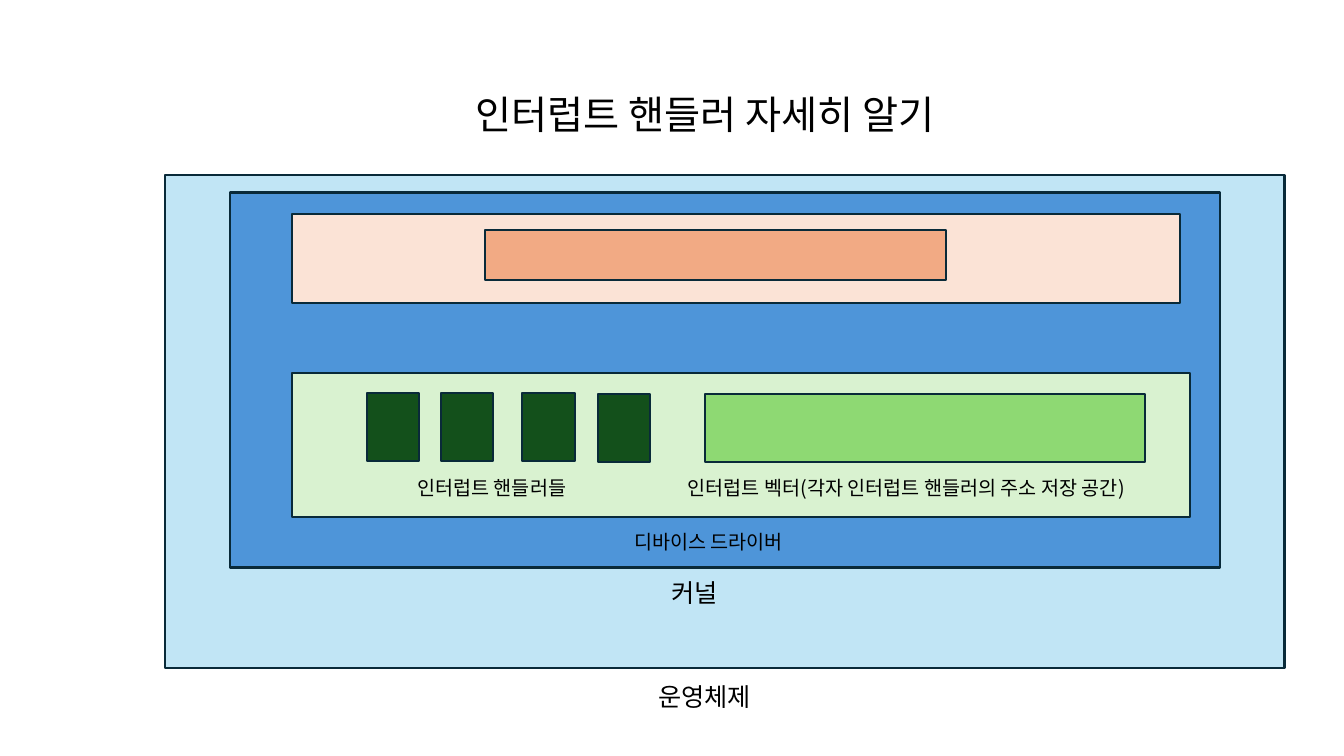
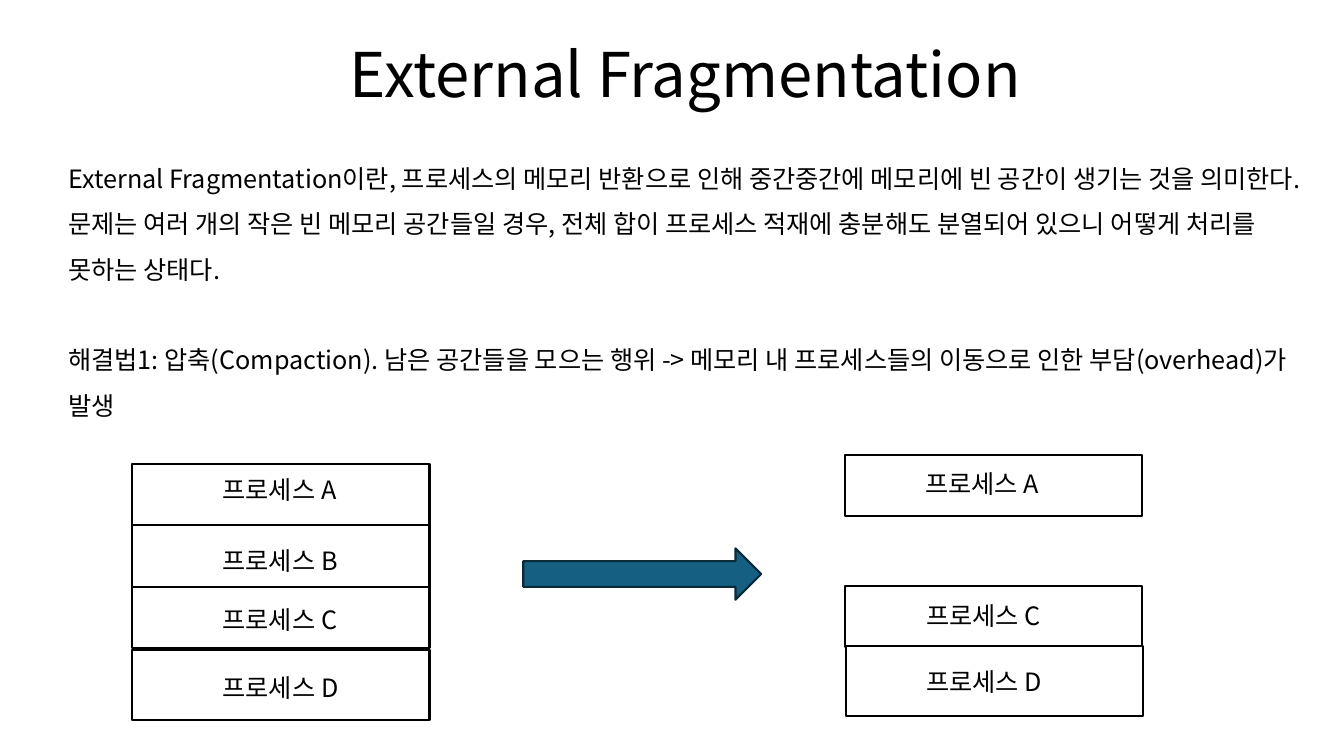
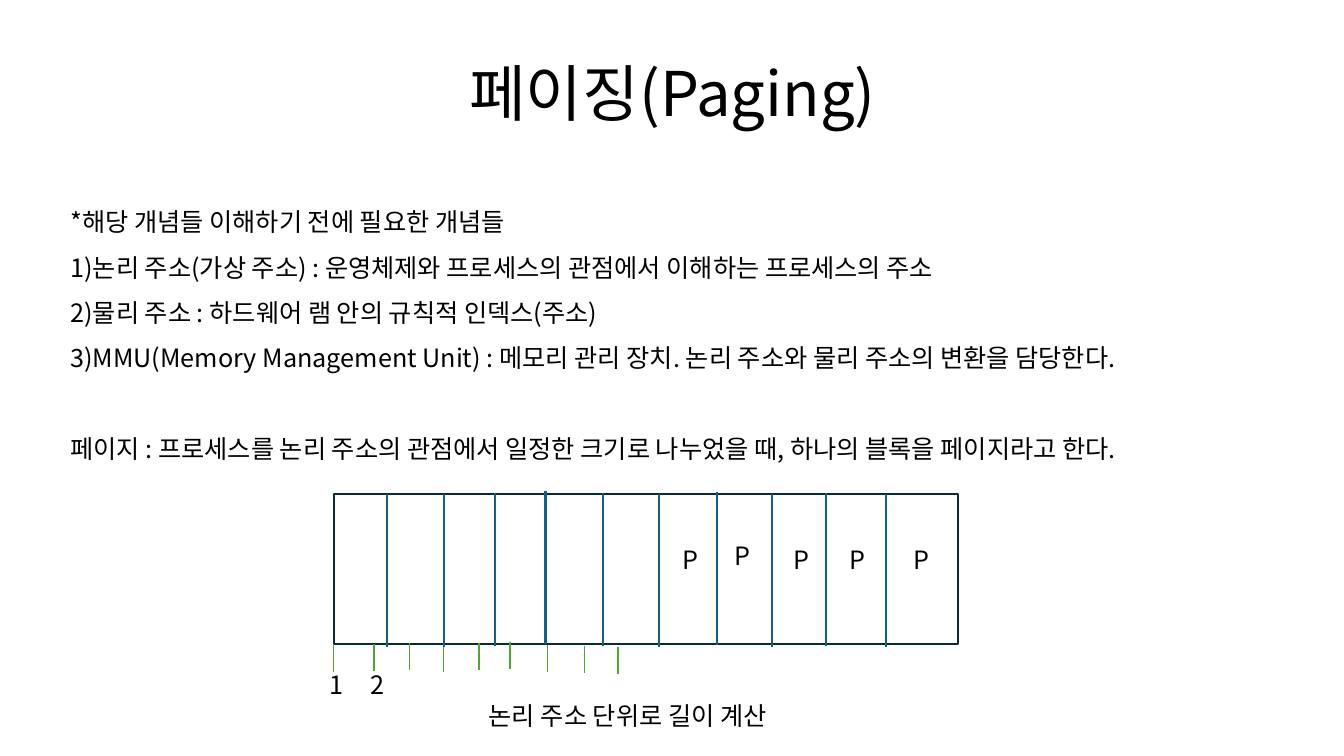
from dataclasses import dataclass

from lxml import etree
from pptx import Presentation, util as u
from pptx.dml.color import RGBColor
from pptx.enum import shapes, text
from pptx.oxml.ns import qn


@dataclass(frozen=True)
class Theme:
    font: str = "Noto Sans CJK KR"
    black: str = "000000"
    white: str = "FFFFFF"
    outline: str = "092A39"
    system: str = "C1E5F5"
    kernel: str = "4E95D9"
    driver: str = "D9F2D0"
    handler: str = "13501B"
    vector: str = "8ED973"
    upper: str = "FBE3D6"
    upper_core: str = "F2AA84"
    accent: str = "156082"
    tick: str = "4EA72E"
    title: int = 44
    subtitle: int = 28
    body: int = 18
    small: int = 14
    line_pitch: float = 1.2
    border: float = 1.5
    thin: float = 1


class Deck:
    def __init__(self, theme):
        self.theme = theme
        self.file = Presentation()
        self.file.slide_width = u.Inches(13.33)
        self.file.slide_height = u.Inches(7.5)
        self.slide = None

    def new_slide(self, heading, left, top, size):
        self.slide = self.file.slides.add_slide(self.file.slide_layouts[6])
        frame = self.label([heading], left, top, 11.5, 1.45, size)
        frame.vertical_anchor = text.MSO_ANCHOR.MIDDLE
        frame.paragraphs[0].alignment = text.PP_ALIGN.CENTER

    def label(self, lines, left, top, width, height=0.4, size=None, spacing=1.0):
        size = size or self.theme.body
        box = self.slide.shapes.add_textbox(*map(u.Inches, (left, top, width, height)))
        frame = box.text_frame
        frame.word_wrap = True
        for index, line in enumerate(lines):
            paragraph = frame.add_paragraph() if index else frame.paragraphs[0]
            paragraph.line_spacing = u.Pt(size * self.theme.line_pitch * spacing)
            run = paragraph.add_run()
            run.text = line
            run.font.size = u.Pt(size)
            run.font.name = self.theme.font
            run.font.color.rgb = RGBColor.from_string(self.theme.black)
            east_asian = etree.Element(qn("a:ea"), typeface=self.theme.font)
            run.font._element.find(qn("a:latin")).addnext(east_asian)
        return frame

    def body(self, lines, left, top, width):
        """Write open-spaced text whose last paragraph stands one line apart."""
        spacing = 1.5
        frame = self.label(lines, left, top, width, 2.77, spacing=spacing)
        gap = self.theme.body * self.theme.line_pitch * spacing
        frame.paragraphs[-1].space_before = u.Pt(gap)

    def block(self, left, top, width, height, fill, outline=None,
              kind=shapes.MSO_SHAPE.RECTANGLE):
        shape = self.slide.shapes.add_shape(
            kind, *map(u.Inches, (left, top, width, height)))
        shape.shadow.inherit = False
        shape.fill.solid()
        shape.fill.fore_color.rgb = RGBColor.from_string(fill)
        shape.line.color.rgb = RGBColor.from_string(outline or self.theme.outline)
        shape.line.width = u.Pt(self.theme.border)

    def upright(self, x, top, bottom, color, width):
        line = self.slide.shapes.add_connector(
            shapes.MSO_CONNECTOR.STRAIGHT, *map(u.Inches, (x, top, x, bottom)))
        line.line.color.rgb = RGBColor.from_string(color)
        line.line.width = u.Pt(width)
        etree.SubElement(line._element.spPr, qn("a:effectLst"))


def interrupt_slide(deck):
    theme = deck.theme
    deck.new_slide("인터럽트 핸들러 자세히 알기", 1.24, 0.4, theme.subtitle)
    deck.block(1.64, 1.74, 11.1, 4.89, theme.system)
    deck.block(2.28, 1.91, 9.82, 3.72, theme.kernel)
    deck.block(2.9, 3.7, 8.9, 1.43, theme.driver)
    deck.block(2.9, 2.12, 8.8, 0.89, theme.upper)
    deck.block(4.81, 2.28, 4.57, 0.5, theme.upper_core)
    for left, top in ((3.64, 3.9), (4.37, 3.9), (5.18, 3.9), (5.93, 3.91)):
        deck.block(left, top, 0.52, 0.67, theme.handler)
    deck.block(6.99, 3.91, 4.37, 0.67, theme.vector)
    for caption, left, top, width, size in (
        ("인터럽트 핸들러들", 4.04, 4.67, 2.28, theme.small),
        ("인터럽트 벡터(각자 인터럽트 핸들러의 주소 저장 공간)",
         6.72, 4.67, 5.06, theme.small),
        ("디바이스 드라이버", 6.19, 5.21, 2.59, theme.small),
        ("커널", 6.56, 5.68, 2.46, theme.body),
        ("운영체제", 6.43, 6.71, 3.85, theme.body),
    ):
        deck.label([caption], left, top, width, size=size)


def fragmentation_slide(deck):
    theme = deck.theme
    deck.new_slide("External Fragmentation", 1.05, 0, theme.title)
    deck.body([
        "External Fragmentation이란, 프로세스의 메모리 반환으로 인해 중간중간에 메모리에 "
        "빈 공간이 생기는 것을 의미한다. 문제는 여러 개의 작은 빈 메모리 공간들일 경우, "
        "전체 합이 프로세스 적재에 충분해도 분열되어 있으니 어떻게 처리를 못하는 상태다.",
        "해결법1: 압축(Compaction). 남은 공간들을 모으는 행위 -> 메모리 내 프로세스들의 "
        "이동으로 인한 부담(overhead)가 발생",
    ], 0.58, 1.42, 12.44)
    for process, left, top, height, name_left, name_top in (
        ("A", 1.31, 4.6, 0.61, 2.11, 4.66),
        ("B", 1.31, 5.21, 0.61, 2.11, 5.36),
        ("C", 1.31, 5.82, 0.61, 2.11, 5.95),
        ("D", 1.31, 6.45, 0.69, 2.11, 6.62),
        ("A", 8.38, 4.51, 0.61, 9.08, 4.6),
        ("C", 8.38, 5.81, 0.61, 9.09, 5.91),
        ("D", 8.39, 6.41, 0.69, 9.09, 6.56),
    ):
        deck.block(left, top, 2.95, height, theme.white, theme.black)
        deck.label([f"프로세스 {process}"], name_left, name_top, 1.56)
    deck.block(5.19, 5.44, 2.36, 0.51, theme.accent,
               kind=shapes.MSO_SHAPE.RIGHT_ARROW)


def paging_slide(deck):
    theme = deck.theme
    deck.new_slide("페이징(Paging)", 0.92, 0.19, theme.title)
    deck.body([
        "*해당 개념들 이해하기 전에 필요한 개념들",
        "1)논리 주소(가상 주소) : 운영체제와 프로세스의 관점에서 이해하는 프로세스의 주소",
        "2)물리 주소 : 하드웨어 램 안의 규칙적 인덱스(주소)",
        "3)MMU(Memory Management Unit) : 메모리 관리 장치. "
        "논리 주소와 물리 주소의 변환을 담당한다.",
        "페이지 : 프로세스를 논리 주소의 관점에서 일정한 크기로 나누었을 때, "
        "하나의 블록을 페이지라고 한다.",
    ], 0.6, 1.85, 12.38)
    deck.block(3.31, 4.9, 6.19, 1.49, theme.white)
    for x, top in ((3.31, 6.4), (3.71, 6.39), (4.06, 6.38), (4.4, 6.4), (4.75, 6.38),
                   (5.06, 6.37), (5.43, 6.4), (5.8, 6.41), (6.13, 6.42)):
        deck.upright(x, top, top + 0.27, theme.tick, theme.thin)
    for x, top in ((3.84, 4.9), (4.4, 4.9), (4.91, 4.89), (5.41, 4.87), (5.98, 4.89),
                   (6.54, 4.9), (7.11, 4.88), (7.66, 4.9), (8.19, 4.89), (8.79, 4.9)):
        deck.upright(x, top, top + 1.52, theme.accent, theme.border)
    for left, top in ((6.67, 5.35), (7.19, 5.31), (7.77, 5.35), (8.33, 5.35), (8.96, 5.35)):
        deck.label(["P"], left, top, 0.4)
    for number, left in (("1", 3.17), ("2", 3.58)):
        deck.label([number], left, 6.59, 0.4)
    deck.label(["논리 주소 단위로 길이 계산"], 4.75, 6.9, 3.56)


def main():
    deck = Deck(Theme())
    interrupt_slide(deck)
    fragmentation_slide(deck)
    paging_slide(deck)
    deck.file.save("out.pptx")


if __name__ == "__main__":
    main()
